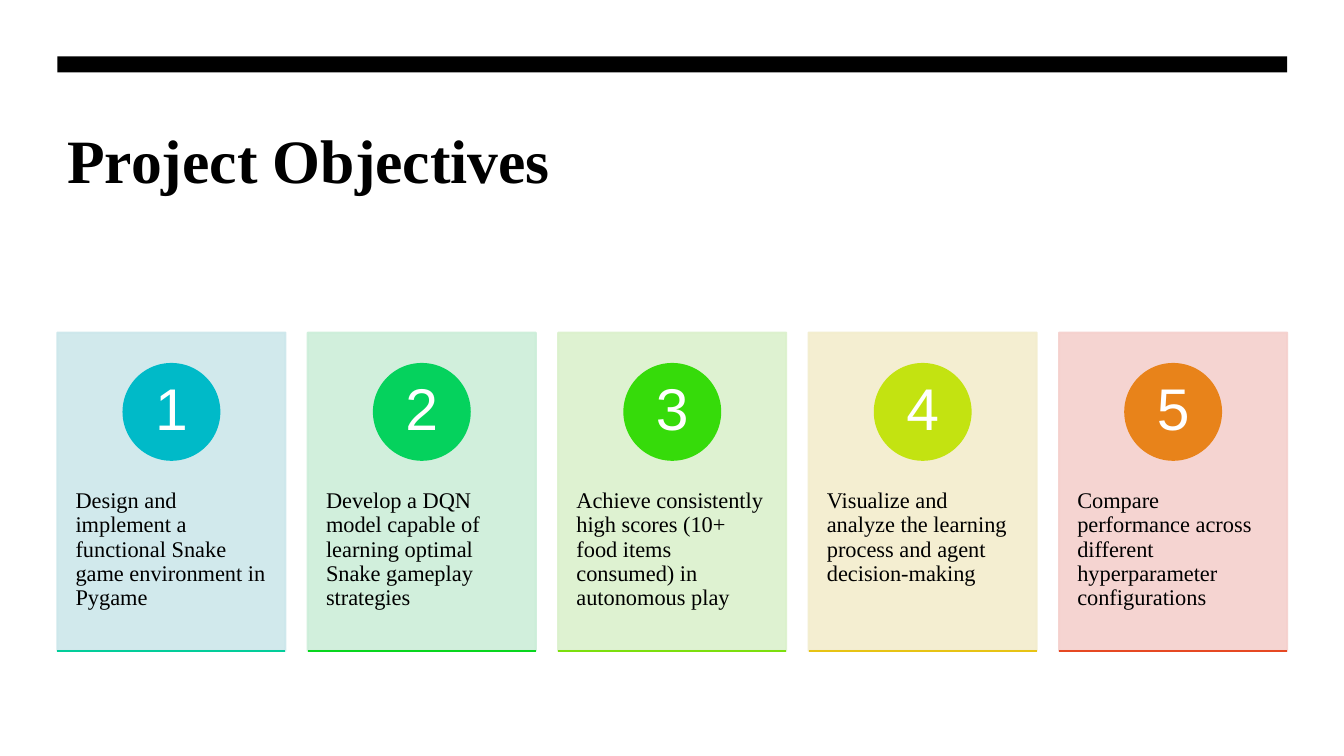
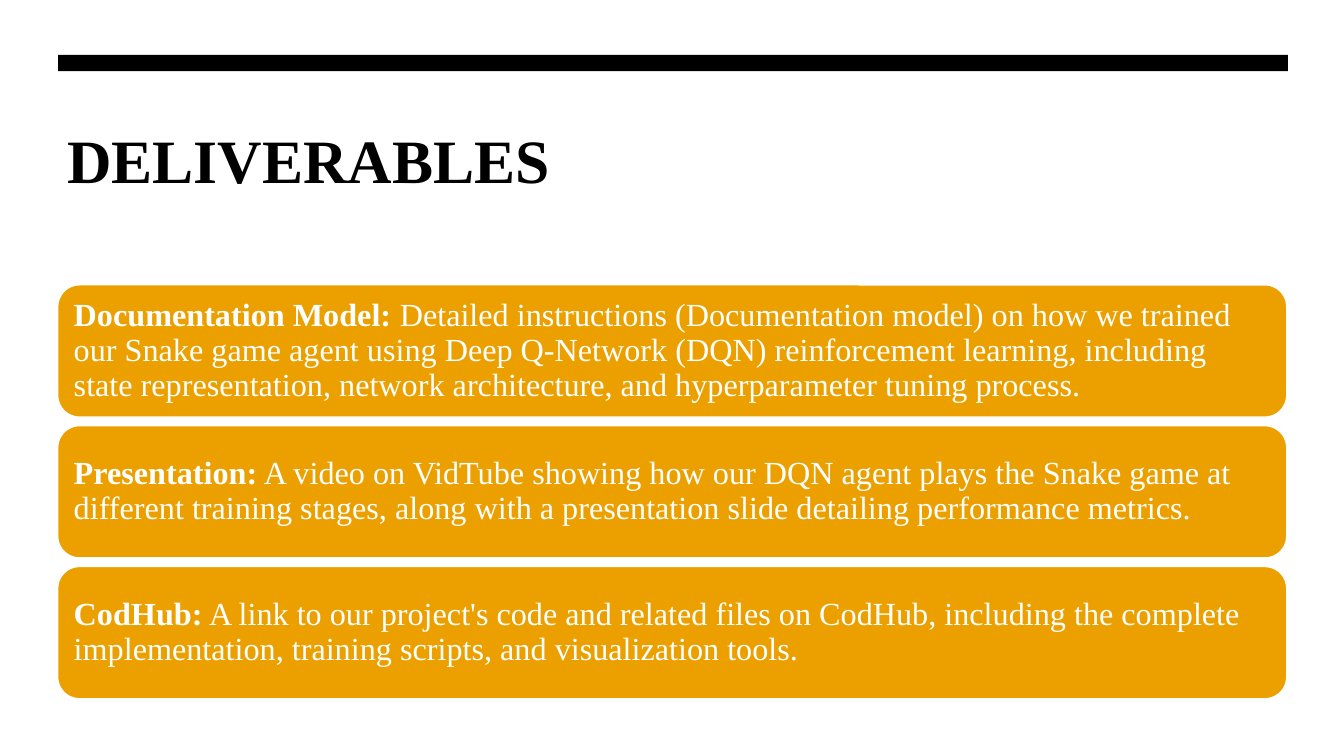
"""Build the objectives and deliverables slides of a Snake DQN project."""
from lxml.etree import SubElement
from pptx import Presentation
from pptx.dml.color import RGBColor
from pptx.enum.shapes import MSO_CONNECTOR, MSO_SHAPE
from pptx.enum.text import MSO_ANCHOR as Anchor, PP_ALIGN as Align
from pptx.oxml.ns import qn
from pptx.util import Pt

COLOURS = {"ink": "000000", "paper": "FFFFFF", "deliverable": "EBA000"}
SERIF, SANS = "Times New Roman", "Arial"
LEFT, WIDTH = 41, 878.4

OBJECTIVES = [
    ("Design and implement a functional Snake game environment in Pygame",
     "CCE7EB", "00BAC8", "02CD9A"),
    ("Develop a DQN model capable of learning optimal Snake gameplay strategies",
     "CCEED9", "05D25D", "08D61E"),
    ("Achieve consistently high scores (10+ food items consumed) in autonomous play",
     "DBF1CC", "36DB0A", "7CDF0D"),
    ("Visualize and analyze the learning process and agent decision-making",
     "F3EDCD", "C3E311", "E7C314"),
    ("Compare performance across different hyperparameter configurations",
     "F5D0CD", "E8831A", "E64823"),
]
DELIVERABLES = [
    ("Documentation Model:",
     " Detailed instructions (Documentation model) on how we trained our Snake game "
     "agent using Deep Q-Network (DQN) reinforcement learning, including state "
     "representation, network architecture, and hyperparameter tuning process."),
    ("Presentation:",
     " A video on VidTube showing how our DQN agent plays the Snake game at different "
     "training stages, along with a presentation slide detailing performance metrics."),
    ("CodHub:",
     " A link to our project's code and related files on CodHub, including the complete "
     "implementation, training scripts, and visualization tools."),
]

TITLE_FONT = {"name": SERIF, "size": Pt(44), "bold": True}
NUMBER_FONT = {"name": SANS, "size": Pt(42)}
OBJECTIVE_FONT = {"name": SERIF, "size": Pt(16)}
DELIVERABLE_FONT = {"name": SERIF, "size": Pt(23)}

CARD_TOP, CARD_HEIGHT, CARD_GAP = 237.6, 227.4, 16
BADGE_TOP, BADGE_SIZE = 260, 68.4
PANEL_TOP, PANEL_HEIGHT, PANEL_PITCH = 203.2, 95, 100.6


def rgb(colour):
    return RGBColor.from_string(colour)


def set_all(target, values):
    for name, value in values.items():
        setattr(target, name, value)


def set_opacity(shape, percent):
    for colour in shape._element.spPr.iter(qn("a:srgbClr")):
        SubElement(colour, qn("a:alpha"), val=str(percent * 1000))


def add_block(slide, preset, box, fill, line=None):
    block = slide.shapes.add_shape(preset, *map(Pt, box))
    block.shadow.inherit = False
    block.fill.solid()
    block.fill.fore_color.rgb = rgb(fill)
    if line:
        block.line.color.rgb = rgb(line)
        block.line.width = Pt(1.5)
    else:
        block.line.fill.background()
    return block


def write(shape, parts, font, colour, margins, anchor=Anchor.TOP, align=Align.LEFT,
          spacing=0.9):
    left, top, right, bottom = map(Pt, margins)
    frame = shape.text_frame
    set_all(frame, {"word_wrap": True, "vertical_anchor": anchor,
                    "margin_left": left, "margin_top": top,
                    "margin_right": right, "margin_bottom": bottom})
    paragraph = frame.paragraphs[0]
    set_all(paragraph, {"alignment": align, "line_spacing": spacing})
    for text, extra in parts:
        run = paragraph.add_run()
        run.text = text
        set_all(run.font, {**font, **extra})
        run.font.color.rgb = rgb(colour)


def add_titled_slide(deck, title, band_left, band_top):
    slide = deck.slides.add_slide(deck.slide_layouts[6])
    add_block(slide, MSO_SHAPE.RECTANGLE, (band_left, band_top, WIDTH, 11.6),
              COLOURS["ink"])
    heading = slide.shapes.add_textbox(*map(Pt, (LEFT, 77, WIDTH, 115)))
    write(heading, [(title, {})], TITLE_FONT, COLOURS["ink"], (7.2, 10, 7.2, 3.6),
          spacing=1.0)
    return slide


def add_objectives(slide):
    count = len(OBJECTIVES)
    width = (WIDTH - CARD_GAP * (count - 1)) / count
    for index, (text, tint, badge_fill, rule_colour) in enumerate(OBJECTIVES):
        left = LEFT + index * (width + CARD_GAP)
        card = add_block(slide, MSO_SHAPE.RECTANGLE,
                         (left, CARD_TOP, width, CARD_HEIGHT), tint, tint)
        set_opacity(card, 90)
        write(card, [(text, {})], OBJECTIVE_FONT, COLOURS["ink"], (13, 112, 13, 0))

        badge_left = left + (width - BADGE_SIZE) / 2
        badge = add_block(slide, MSO_SHAPE.OVAL,
                          (badge_left, BADGE_TOP, BADGE_SIZE, BADGE_SIZE),
                          badge_fill, badge_fill)
        write(badge, [(str(index + 1), {})], NUMBER_FONT, COLOURS["paper"],
              (5, 1, 5, 1), Anchor.MIDDLE, Align.CENTER)

        bottom = CARD_TOP + CARD_HEIGHT
        rule = slide.shapes.add_connector(
            MSO_CONNECTOR.STRAIGHT, *map(Pt, (left, bottom, left + width, bottom)))
        rule.line.color.rgb = rgb(rule_colour)
        rule.line.width = Pt(1.5)
        SubElement(rule._element.spPr, qn("a:effectLst"))


def add_deliverables(slide):
    for index, (label, detail) in enumerate(DELIVERABLES):
        panel = add_block(slide, MSO_SHAPE.ROUNDED_RECTANGLE,
                          (LEFT, PANEL_TOP + index * PANEL_PITCH, WIDTH, PANEL_HEIGHT),
                          COLOURS["deliverable"], COLOURS["paper"])
        write(panel, [(label, {"bold": True}), (detail, {"bold": False})],
              DELIVERABLE_FONT, COLOURS["paper"], (7.2, 7.2, 7.2, 7.2), Anchor.MIDDLE)


def main():
    deck = Presentation()
    set_all(deck, {"slide_width": Pt(960), "slide_height": Pt(540)})
    add_objectives(add_titled_slide(deck, "Project Objectives", LEFT, 40.2))
    add_deliverables(add_titled_slide(deck, "DELIVERABLES", 41.6, 39.2))
    deck.save("out.pptx")


if __name__ == "__main__":
    main()
